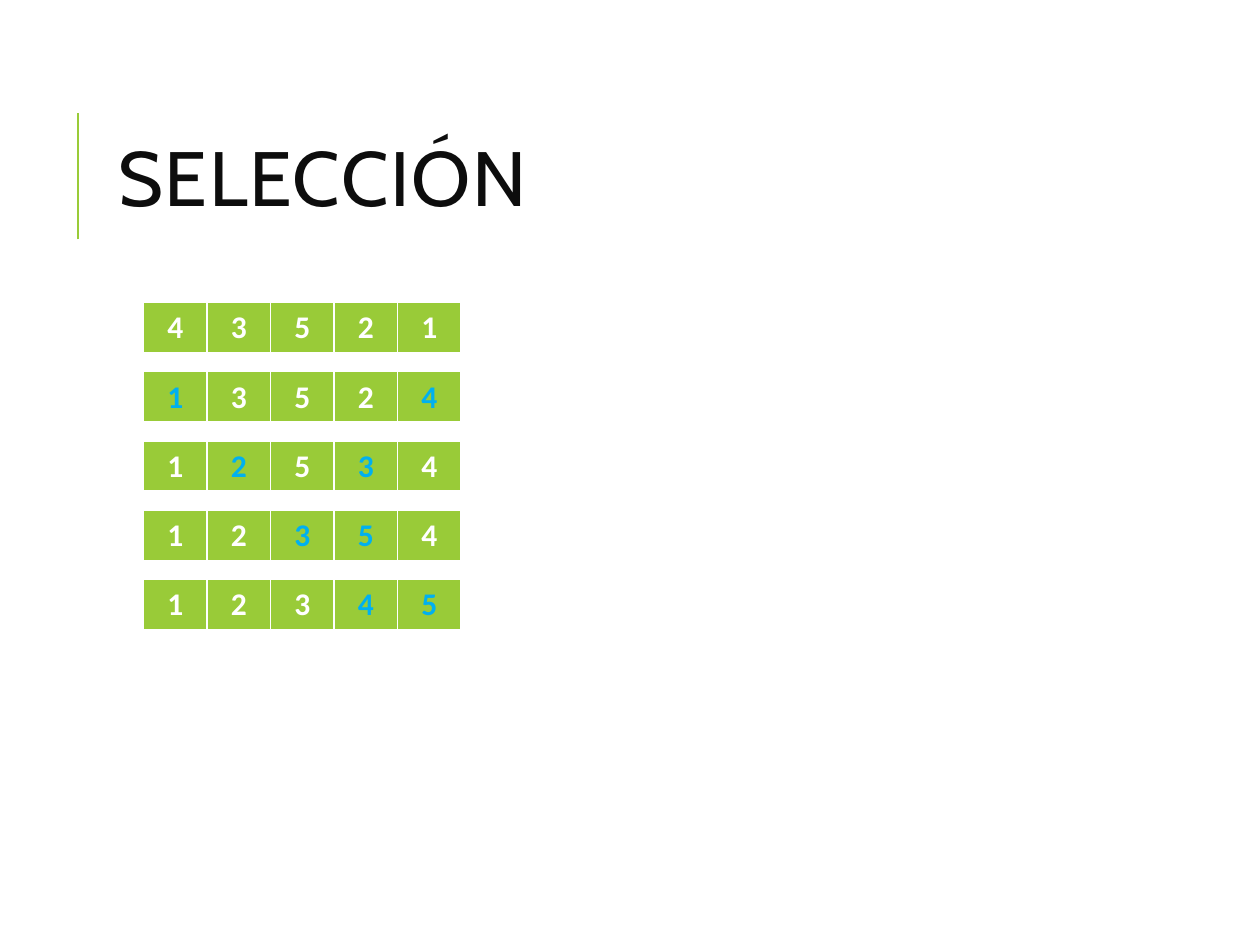
"""Builds a slide that shows selection sort step by step."""
from lxml.etree import SubElement
from pptx import Presentation
from pptx.dml.color import RGBColor
from pptx.enum.shapes import MSO_CONNECTOR
from pptx.enum.text import MSO_ANCHOR, PP_ALIGN
from pptx.oxml.ns import qn
from pptx.util import Inches, Pt

GREEN = RGBColor(0x99, 0xCB, 0x38)
BLUE = RGBColor(0x00, 0xB0, 0xF0)
WHITE = RGBColor(0xFF, 0xFF, 0xFF)
INK = RGBColor(0x0D, 0x0D, 0x0D)

STEPS = ["43521", "13524", "12534", "12354", "12345"]
FIRST_TOP, STEP_PITCH = 2.4, 0.55
BORDERS = {"a:lnL": 1, "a:lnR": 1, "a:lnT": 1, "a:lnB": 3}


class SlideBuilder:
    """Holds the style and the current page."""

    title_font = "Cabin"
    digit_font = "Calibri"

    def __init__(self, page):
        self.page = page

    def add_span(self, para, text, font, size, color, bold=False):
        span = para.add_run()
        span.text = text
        span.font.name = font
        span.font.size = Pt(size)
        span.font.bold = bold
        span.font.color.rgb = color
        return span

    def add_title(self, text, left, top, width, height):
        box = self.page.shapes.add_textbox(
            Inches(left), Inches(top), Inches(width), Inches(height))
        frame = box.text_frame
        frame.word_wrap = True
        frame.vertical_anchor = MSO_ANCHOR.MIDDLE
        para = frame.paragraphs[0]
        para.line_spacing = 0.8
        span = self.add_span(para, text, self.title_font, 44, INK)
        span.font._element.set("spc", "100")

    def add_rule(self, x, top, bottom):
        rule = self.page.shapes.add_connector(
            MSO_CONNECTOR.STRAIGHT, Inches(x), Inches(bottom), Inches(x), Inches(top))
        rule.line.color.rgb = GREEN
        rule.line.width = Pt(1.5)
        SubElement(rule._element.spPr, qn("a:effectLst"))

    def add_borders(self, cell):
        properties = cell._tc.get_or_add_tcPr()
        for tag, width in BORDERS.items():
            line = SubElement(properties, qn(tag), w=str(Pt(width)))
            fill = SubElement(line, qn("a:solidFill"))
            SubElement(fill, qn("a:srgbClr"), val=str(WHITE))

    def add_array(self, digits, previous, left, top, width, height):
        table = self.page.shapes.add_table(
            1, len(digits), Inches(left), Inches(top), Inches(width), Inches(height)).table
        for cell, digit, old_digit in zip(table.iter_cells(), digits, previous):
            self.add_borders(cell)
            cell.fill.solid()
            cell.fill.fore_color.rgb = GREEN
            para = cell.text_frame.paragraphs[0]
            para.alignment = PP_ALIGN.CENTER
            color = WHITE if digit == old_digit else BLUE
            self.add_span(para, digit, self.digit_font, 18, color, bold=True)


def main():
    deck = Presentation()
    deck.slide_width, deck.slide_height = Inches(10), Inches(7.5)
    builder = SlideBuilder(deck.slides.add_slide(deck.slide_layouts[6]))
    builder.add_rule(0.62, 0.9, 1.9)
    builder.add_title("SELECCIÓN", 0.84, 0.64, 7.97, 1.64)
    for index, digits in enumerate(STEPS):
        previous = STEPS[max(index - 1, 0)]
        builder.add_array(digits, previous, 1.14, FIRST_TOP + index * STEP_PITCH, 2.52, 0.41)
    deck.save("out.pptx")


if __name__ == "__main__":
    main()
